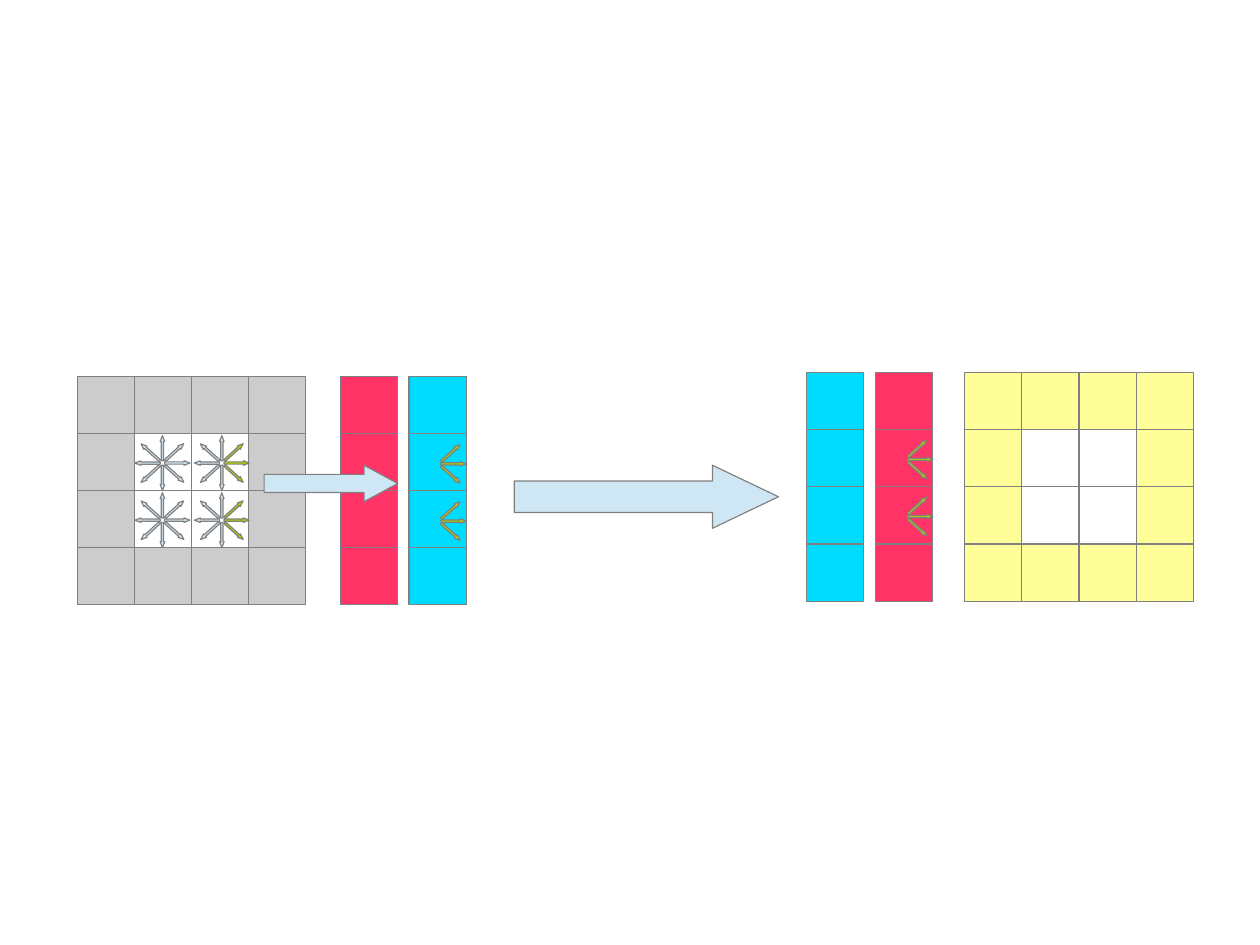
from math import cos, radians, sin

from pptx import Presentation
from pptx.dml.color import RGBColor
from pptx.enum.shapes import MSO_SHAPE
from pptx.util import Cm, Pt

RECT = MSO_SHAPE.RECTANGLE
ARROW = MSO_SHAPE.RIGHT_ARROW

# Content: cell maps, one letter per cell, a dot leaves the cell open
GRAY = ["gggg", "gw.g", "gwwg", "gggg"]
YELLOW = ["yyyy", "yw.y", "ywwy", "yyyy"]
RED = ["r"] * 4
CYAN = ["c"] * 4

# Blocks: left, top, map (cm)
SEND = [(1.72, 8.36, GRAY), (7.57, 8.36, RED), (9.09, 8.36, CYAN)]
RECV = [(19.46, 8.28, RED), (17.93, 8.28, CYAN)]
RESULT = [(21.44, 8.28, YELLOW)]

# Small arrows: turn in degrees, distance of the middle from the hub
EAST = [(0, 0.33), (317.7, 0.36), (42, 0.36)]
REST = [(270, 0.33), (180, 0.33), (90, 0.33), (137.7, 0.36), (222, 0.36)]

# Hubs of the upper row: x, y, arrows with their colour
STARS = [
    (3.61, 10.29, [(EAST, "pale"), (REST, "pale")]),
    (4.93, 10.29, [(EAST, "lime"), (REST, "pale")]),
]
FANS = [(x, y, [(EAST, "lime")]) for x, y in [(9.75, 10.31), (20.12, 10.21)]]

# Block arrows: left, top, width, height, head ratio
MOVE = (11.43, 10.34, 5.87, 1.40, 1.047)
COPY = (5.87, 10.34, 2.97, 0.81, 0.924)

THEME = {
    "g": "CCCCCC", "w": "FFFFFF", "y": "FFFF99", "r": "FF3366", "c": "00DCFF",
    "pale": "CFE7F5", "lime": "AECF00", "line": "808080",
}
CELL = 1.27
DART = (0.56, 0.10, 1.292)


def add(shapes, kind, x, y, w, h, color):
    """Add one filled shape with a hairline border."""
    item = shapes.add_shape(kind, Cm(x), Cm(y), Cm(w), Cm(h))
    item.shadow.inherit = False
    item.fill.solid()
    item.fill.fore_color.rgb = RGBColor.from_string(THEME[color])
    item.line.color.rgb = RGBColor.from_string(THEME["line"])
    item.line.width = Pt(0)
    return item


def add_arrow(shapes, x, y, w, h, head, color="pale", turn=0):
    item = add(shapes, ARROW, x, y, w, h, color)
    item.adjustments[0] = 0.5
    item.adjustments[1] = head
    item.rotation = turn


def add_blocks(shapes, blocks):
    for left, top, rows in blocks:
        for r, row in enumerate(rows):
            for c, color in enumerate(row):
                if color != ".":
                    add(shapes, RECT, left + c * CELL, top + r * CELL,
                        CELL, CELL, color)


def add_hubs(shapes, hubs):
    """Draw each hub in both middle rows as a group of small arrows."""
    w, h, head = DART
    for x, y, sets in hubs:
        for row in range(2):
            group = shapes.add_group_shape().shapes
            for rays, color in sets:
                for turn, dist in rays:
                    mid_x = x + dist * cos(radians(turn))
                    mid_y = y + row * CELL + dist * sin(radians(turn))
                    add_arrow(group, mid_x - w / 2, mid_y - h / 2,
                              w, h, head, color, turn)


def main():
    deck = Presentation()
    deck.slide_width, deck.slide_height = Cm(28), Cm(21)
    shapes = deck.slides.add_slide(deck.slide_layouts[6]).shapes

    # Sending side
    add_blocks(shapes, SEND)
    add_hubs(shapes, STARS)

    # Receiving columns and outgoing directions
    add_blocks(shapes, RECV)
    add_hubs(shapes, FANS)

    # Block arrows
    add_arrow(shapes, *MOVE)
    add_arrow(shapes, *COPY)

    # Receiving grid
    add_blocks(shapes, RESULT)

    deck.save("out.pptx")


if __name__ == "__main__":
    main()
